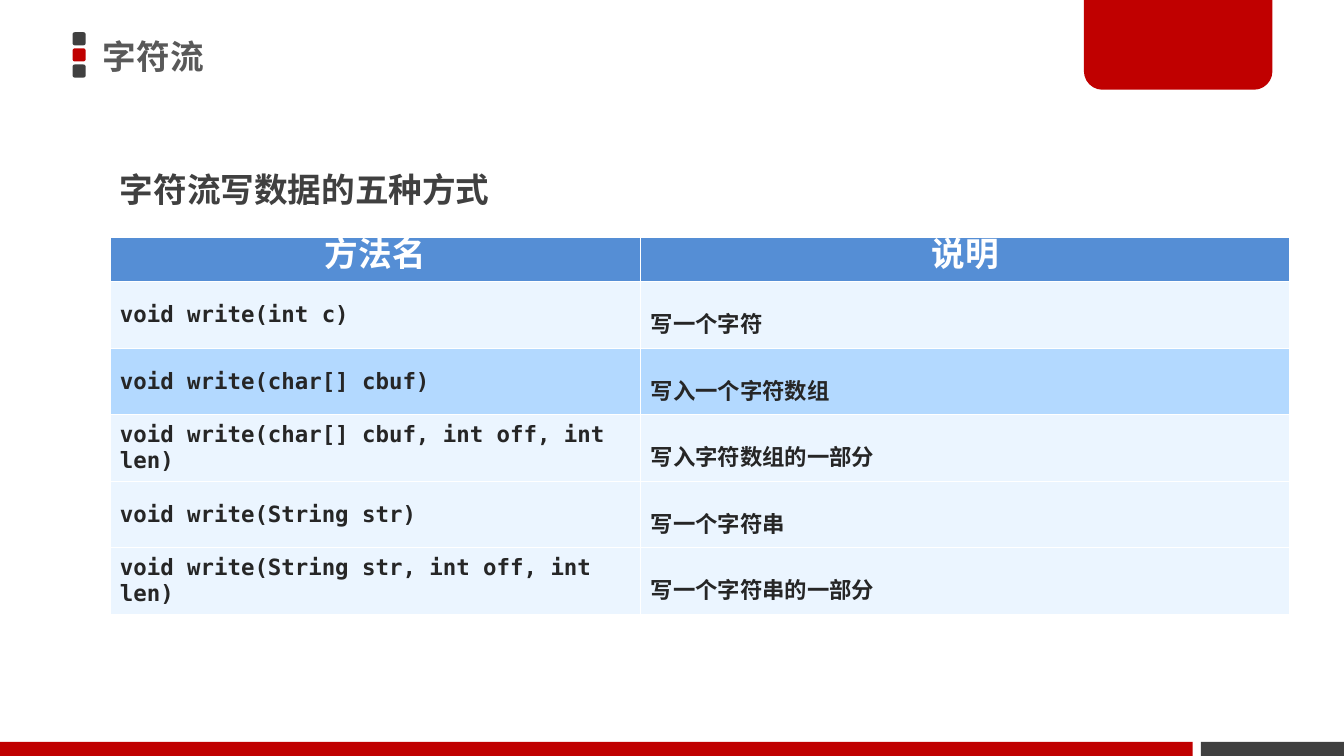
from pptx import Presentation, util as u
from pptx.dml.color import RGBColor
from pptx.enum import shapes, text
from pptx.oxml.ns import qn
from lxml import etree

TITLE = "字符流"
HEADING = "字符流写数据的五种方式"
HEADER = ("方法名", "说明")
METHODS = [
    ("void write(int c)", "写一个字符"),
    ("void write(char[] cbuf)", "写入一个字符数组"),
    ("void write(char[] cbuf, int off, int len)", "写入字符数组的一部分"),
    ("void write(String str)", "写一个字符串"),
    ("void write(String str, int off, int len)", "写一个字符串的一部分"),
]
HIGHLIGHTED_ROW = 2
COLORS = {
    "red": "C00000", "dark": "404040", "title": "595959", "white": "FFFFFF",
    "header": "558ED5", "row": "EBF5FF", "highlight": "B3D9FF", "code": "262626",
}
SANS, MONO = "Noto Sans CJK JP", "DejaVu Sans Mono"
WIDTH, HEIGHT = 13.33, 7.5
TABLE_LEFT, TABLE_TOP, TABLE_WIDTH = 1.09, 2.36, 11.7
COLUMN_SHARES = (0.45, 0.55)
HEADER_HEIGHT, ROW_HEIGHT = 0.41, 0.66
BAR_HEIGHT, BAR_GAP, DARK_BAR = 0.14, 0.08, 1.42
SQUARE, SQUARE_PITCH = 0.13, 0.16


def color(name):
    return RGBColor.from_string(COLORS[name])


def write(frame, words, size=24, font=SANS, fill="dark", align=None, spacing=None):
    para = frame.paragraphs[0]
    para.alignment = align
    para.line_spacing = spacing
    span = para.add_run()
    span.text = words
    span.font.size, span.font.bold, span.font.name = u.Pt(size), True, font
    span.font.color.rgb = color(fill)
    etree.SubElement(span.font._element, qn("a:ea")).set("typeface", SANS)


def block(kind, left, top, width, height, fill):
    shape = page.shapes.add_shape(kind, *map(u.Inches, (left, top, width, height)))
    shape.shadow.inherit = False
    shape.fill.solid()
    shape.fill.fore_color.rgb = color(fill)
    shape.line.fill.background()
    return shape


deck = Presentation()
deck.slide_width, deck.slide_height = u.Inches(WIDTH), u.Inches(HEIGHT)
page = deck.slides.add_slide(deck.slide_layouts[5])
kinds = shapes.MSO_SHAPE

for index, fill in enumerate(("dark", "red", "dark")):
    block(kinds.ROUNDED_RECTANGLE, 0.72, 0.32 + index * SQUARE_PITCH, SQUARE, SQUARE, fill)

bar_top, dark_left = HEIGHT - BAR_HEIGHT, WIDTH - DARK_BAR
block(kinds.RECTANGLE, dark_left, bar_top, DARK_BAR, BAR_HEIGHT, "dark")
block(kinds.RECTANGLE, 0, bar_top, dark_left - BAR_GAP, BAR_HEIGHT, "red")
corner_tab = block(kinds.ROUND_2_SAME_RECTANGLE, 10.75, -0.03, 1.87, 0.92, "red")
corner_tab.adjustments[0] = 0.2
corner_tab.rotation = 180

title = page.shapes.title
title.left, title.top, title.width, title.height = map(u.Inches, (0.92, -0.03, 7.85, 1.18))
title.text_frame.vertical_anchor = text.MSO_ANCHOR.MIDDLE
write(title.text_frame, TITLE, fill="title", align=text.PP_ALIGN.LEFT)

heading = page.shapes.add_textbox(*map(u.Inches, (TABLE_LEFT, 1.43, 10.35, 0.65)))
heading.text_frame.word_wrap = True
write(heading.text_frame, HEADING, spacing=1.5)

rows = [HEADER] + METHODS
table_height = HEADER_HEIGHT + ROW_HEIGHT * len(METHODS)
table = page.shapes.add_table(
    len(rows), len(HEADER),
    *map(u.Inches, (TABLE_LEFT, TABLE_TOP, TABLE_WIDTH, table_height))).table
for column, share in zip(table.columns, COLUMN_SHARES):
    column.width = u.Inches(TABLE_WIDTH * share)

for row_index, words in enumerate(rows):
    is_header = row_index == 0
    table.rows[row_index].height = u.Inches(HEADER_HEIGHT if is_header else ROW_HEIGHT)
    row_fill = "header" if is_header else "highlight" if row_index == HIGHLIGHTED_ROW else "row"
    for column_index, label in enumerate(words):
        cell = table.cell(row_index, column_index)
        cell.fill.solid()
        cell.fill.fore_color.rgb = color(row_fill)
        if is_header:
            write(cell.text_frame, label, fill="white",
                  align=text.PP_ALIGN.CENTER, spacing=u.Pt(24))
        else:
            cell.vertical_anchor = text.MSO_ANCHOR.MIDDLE
            write(cell.text_frame, label, size=16, font=MONO, fill="code",
                  spacing=1.5 if column_index else None)

deck.save("out.pptx")
